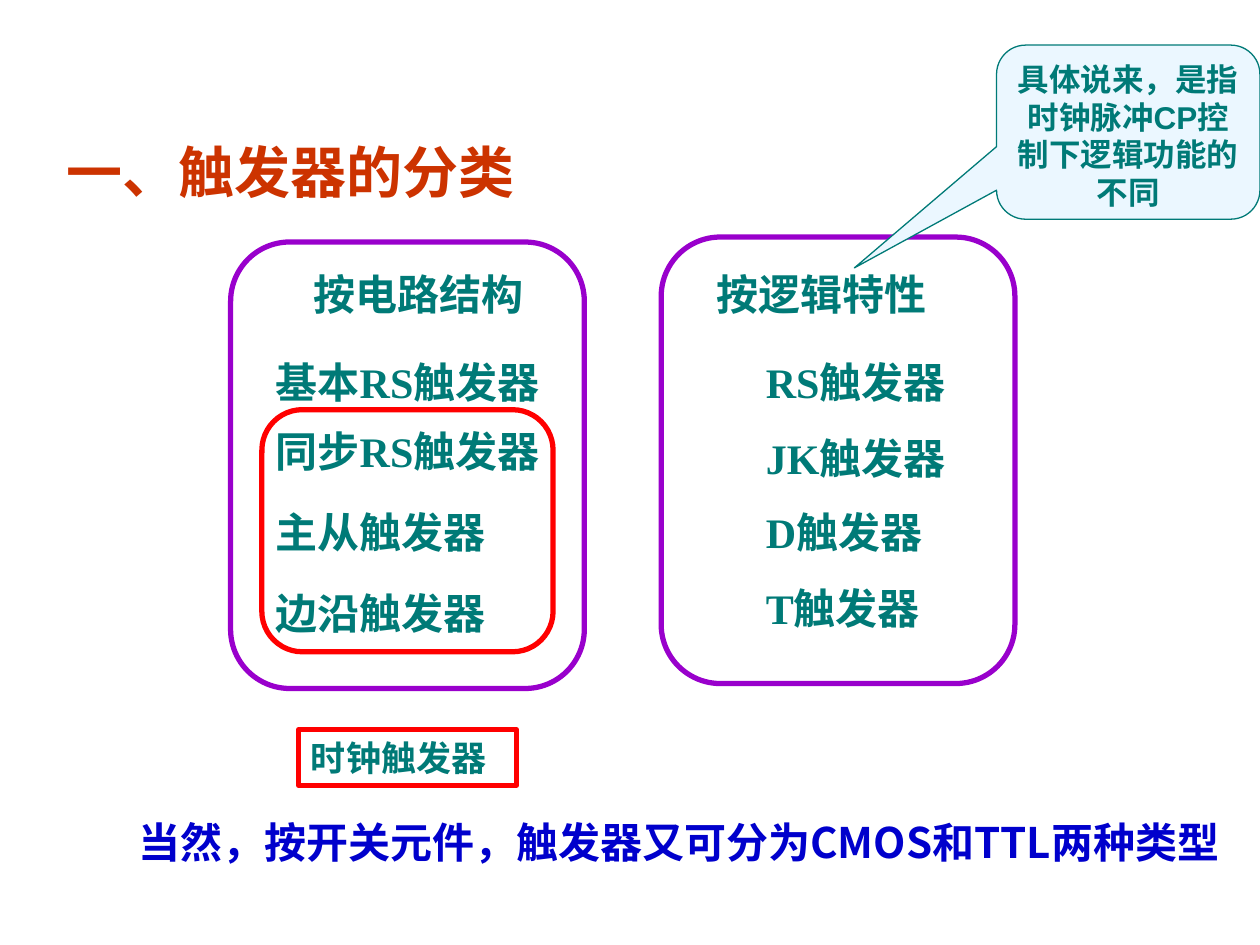
import pptx
import pptx.dml.color
import pptx.enum.shapes
import pptx.enum.text
import pptx.oxml
import pptx.oxml.ns
import pptx.util

Cm = pptx.util.Cm
SHAPES = pptx.enum.shapes.MSO_SHAPE
ALIGN = pptx.enum.text.PP_ALIGN
ANCHOR = pptx.enum.text.MSO_ANCHOR
CJK = "Noto Sans CJK SC"
SERIF = "Times New Roman"
TEAL, PURPLE, RED = "007A77", "9900CC", "FF0000"


def color(hex_code):
    return pptx.dml.color.RGBColor.from_string(hex_code)


def write(frame, text, size, font=SERIF, ink=TEAL, align=ALIGN.LEFT):
    para = frame.paragraphs[0]
    para.alignment = align
    span = para.add_run()
    span.text = text
    span.font.size = pptx.util.Pt(size)
    span.font.bold = True
    span.font.name = font
    span.font.color.rgb = color(ink)
    east_asian = pptx.oxml.parse_xml(
        f'<a:ea {pptx.oxml.ns.nsdecls("a")} typeface="{CJK}"/>')
    span.font._element.find(pptx.oxml.ns.qn("a:latin")).addnext(east_asian)


def add_label(page, text, left, top, width, size=24, **style):
    box = page.shapes.add_textbox(Cm(left), Cm(top), Cm(width), Cm(1.27))
    box.text_frame.word_wrap = True
    write(box.text_frame, text, size, **style)


def add_outline(page, kind, left, top, width, height, line, weight=3, fill=None):
    shape = page.shapes.add_shape(kind, Cm(left), Cm(top), Cm(width), Cm(height))
    shape.shadow.inherit = False
    shape.line.color.rgb = color(line)
    shape.line.width = pptx.util.Pt(weight)
    if fill:
        shape.fill.solid()
        shape.fill.fore_color.rgb = color(fill)
    else:
        shape.fill.background()
    return shape


def add_title(page, left, top, width, height):
    title = page.shapes.title
    title.left, title.top = Cm(left), Cm(top)
    title.width, title.height = Cm(width), Cm(height)
    frame = title.text_frame
    frame.vertical_anchor = ANCHOR.MIDDLE
    frame.margin_left, frame.margin_top, frame.margin_bottom = Cm(0.5), Cm(0.4), Cm(0.1)
    write(frame, "一、触发器的分类", 32, font=CJK, ink="CC3300")


def add_category(page, left, top, heading, heading_x, items, item_x):
    """Panel with a heading and items given as (text, offset from panel top)."""
    panel = add_outline(page, SHAPES.ROUNDED_RECTANGLE, left, top, 7.13, 9, PURPLE)
    panel.adjustments[0] = 0.167
    add_label(page, heading, left + heading_x, 5.28, 5.4)
    for text, offset in items:
        add_label(page, text, left + item_x, top + offset, 7.11)


def add_clocked_group(page, left, top):
    """Frame around the clocked types, with its name tag below."""
    group = add_outline(page, SHAPES.ROUNDED_RECTANGLE, left, top, 5.87, 4.88, RED)
    group.adjustments[0] = 0.167
    tag = add_outline(page, SHAPES.RECTANGLE, left + 0.74, top + 6.45, 4.39, 1.12,
                      RED, fill="FFFFFF")
    tag.text_frame.word_wrap = False
    tag.text_frame.vertical_anchor = ANCHOR.MIDDLE
    write(tag.text_frame, "时钟触发器", 20, font=CJK)


def add_callout(page, left, top, width, height):
    callout = add_outline(page, SHAPES.ROUNDED_RECTANGULAR_CALLOUT, left, top,
                          width, height, TEAL, weight=0.75, fill="EBF7FF")
    for index, value in enumerate((-1.04, 0.78, 0.167)):
        callout.adjustments[index] = value
    callout.text_frame.word_wrap = True
    callout.text_frame.vertical_anchor = ANCHOR.TOP
    write(callout.text_frame, "具体说来，是指时钟脉冲CP控制下逻辑功能的不同",
          18, font="Arial", align=ALIGN.CENTER)


def main():
    deck = pptx.Presentation()
    deck.slide_width, deck.slide_height = Cm(25.4), Cm(19.05)
    page = deck.slides.add_slide(deck.slide_layouts[5])
    add_title(page, 0.84, 1.7, 23.72, 3.18)
    add_category(page, 4.65, 4.88, "按电路结构", 1.42,
                 [("基本RS触发器", 2.18), ("同步RS触发器", 3.58),
                  ("主从触发器", 5.2), ("边沿触发器", 6.83)], 0.66)
    add_category(page, 13.33, 4.78, "按逻辑特性", 0.87,
                 [("RS触发器", 2.28), ("JK触发器", 3.81),
                  ("D触发器", 5.3), ("T触发器", 6.83)], 1.86)
    add_clocked_group(page, 5.28, 8.26)
    add_label(page, "当然，按开关元件，触发器又可分为CMOS和TTL两种类型",
              2.54, 16.33, 23.04, font=CJK, ink="0000CC")
    add_callout(page, 20.09, 0.91, 5.31, 3.51)
    deck.save("out.pptx")


if __name__ == "__main__":
    main()
